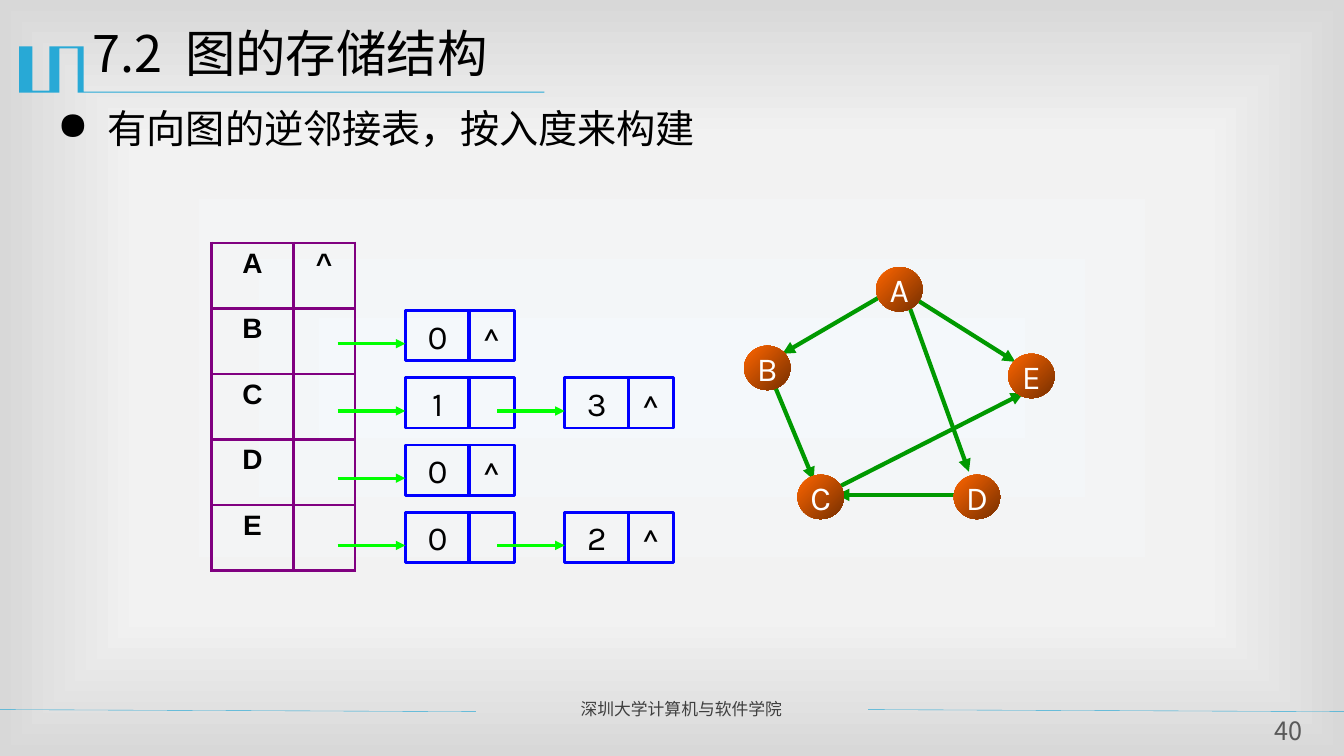
"""Build the slide on the inverse adjacency list of a directed graph."""
from copy import deepcopy
from typing import NamedTuple

from lxml import etree
from pptx import Presentation
from pptx.dml.color import RGBColor
from pptx.enum.shapes import MSO_CONNECTOR, MSO_SHAPE
from pptx.enum.text import MSO_ANCHOR, PP_ALIGN
from pptx.oxml.ns import qn
from pptx.util import Inches, Pt

STRAIGHT = MSO_CONNECTOR.STRAIGHT
RECTANGLE, OVAL = MSO_SHAPE.RECTANGLE, MSO_SHAPE.OVAL
LEFT, CENTER = PP_ALIGN.LEFT, PP_ALIGN.CENTER
MIDDLE = MSO_ANCHOR.MIDDLE

COLORS = {
    "accent": "28A9D6", "text": "000000", "footer": "3F3F3F", "number": "595959",
    "edge": "009900", "vertex_light": "FF6600", "vertex_dark": "762F00",
    "vertex_text": "FFFFFF", "table": "800080", "cell": "0000FF", "pointer": "00FF00",
    "back_center": "F4F8FB", "back_middle": "F2F2F2", "back_rim": "D8D8D8",
}
CJK, KARLA, ARIAL = "Noto Sans CJK SC", "Karla", "Arial"


class Style(NamedTuple):
    font: str
    size: float
    color: str
    bold: bool = False


class Vertex(NamedTuple):
    label: str
    left: float
    top: float


class Segment(NamedTuple):
    x1: float
    y1: float
    x2: float
    y2: float


TITLE = Style(CJK, 36, "text")
BODY = Style(CJK, 28, "text")
FOOTER = Style(CJK, 12, "footer")
NUMBER = Style(CJK, 18, "number")
HEADER = Style(ARIAL, 20, "text", True)
NODE = Style(KARLA, 24, "text")
VERTEX = Style(KARLA, 24, "vertex_text")

LOGO_OUTLINE = [
    (0.82, 0.46), (0.83, 0.46), (0.83, 0.91), (5.4, 0.91), (5.4, 0.92), (0.77, 0.92),
    (0.77, 0.48), (0.59, 0.48), (0.59, 0.92), (0.19, 0.92), (0.19, 0.46), (0.32, 0.46),
    (0.32, 0.9), (0.49, 0.9), (0.49, 0.46),
]
FOOTER_RULES = [Segment(-0.01, 7.04, 4.72, 7.06), Segment(8.61, 7.04, 13.33, 7.06)]
EDGES = [
    Segment(9.07, 2.96, 10.07, 3.59), Segment(7.68, 3.82, 8.07, 4.76),
    Segment(8.84, 2.88, 7.76, 3.51), Segment(8.99, 2.96, 9.61, 4.68),
    Segment(9.46, 4.91, 8.3, 4.91), Segment(8.3, 4.84, 10.15, 3.9),
]
VERTICES = [
    Vertex("B", 7.38, 3.43), Vertex("D", 9.46, 4.71), Vertex("C", 7.91, 4.71),
    Vertex("E", 10, 3.51), Vertex("A", 8.69, 2.65),
]
PREDECESSORS = {"A": [], "B": ["0"], "C": ["1", "3"], "D": ["0"], "E": ["0", "2"]}
END_MARK = "^"
CHAIN_LEFT, CHAIN_TOP, CHAIN_STEP, NODE_STEP = 4.02, 3.08, 0.667, 1.58


def rgb(name: str) -> RGBColor:
    return RGBColor.from_string(COLORS[name])


def add_run(paragraph, text: str, style: Style):
    run = paragraph.add_run()
    run.text = text
    run.font.name, run.font.size, run.font.bold = style.font, Pt(style.size), style.bold
    run.font.color.rgb = rgb(style.color)
    run.font._element.find(qn("a:latin")).addnext(
        run.font._element.makeelement(qn("a:ea"), {"typeface": style.font}))
    return run


def add_label(slide, left: float, top: float, width: float, height: float,
              align=LEFT, margin: bool = True):
    frame = slide.shapes.add_textbox(
        Inches(left), Inches(top), Inches(width), Inches(height)).text_frame
    frame.word_wrap = True
    if not margin:
        frame.margin_left = frame.margin_right = frame.margin_top = frame.margin_bottom = 0
    paragraph = frame.paragraphs[0]
    paragraph.alignment, paragraph.line_spacing = align, 0.9
    return paragraph


def add_segment(slide, segment: Segment, color: str, width: float, arrow: bool = True) -> None:
    line = slide.shapes.add_connector(STRAIGHT, *(Inches(value) for value in segment))
    line.line.color.rgb, line.line.width = rgb(color), Pt(width)
    if arrow:
        etree.SubElement(line.line._get_or_add_ln(), qn("a:tailEnd"), type="triangle")
    etree.SubElement(line._element.spPr, qn("a:effectLst"))


def add_box(slide, kind, left: float, top: float, width: float, height: float,
            text: str, style: Style):
    box = slide.shapes.add_shape(
        kind, Inches(left), Inches(top), Inches(width), Inches(height))
    box.shadow.inherit = False
    box.text_frame.vertical_anchor = MIDDLE
    if text:
        paragraph = box.text_frame.paragraphs[0]
        paragraph.alignment = CENTER
        add_run(paragraph, text, style)
    return box


def paint_background(slide) -> None:
    slide.background.fill.gradient()
    gradient = slide._element.find(".//" + qn("a:gradFill"))
    stop_list = gradient.find(qn("a:gsLst"))
    stop_list.append(deepcopy(stop_list[-1]))
    stops = slide.background.fill.gradient_stops
    for stop, place, color in zip(
            stops, (0, 0.63, 1), ("back_center", "back_middle", "back_rim")):
        stop.position, stop.color.rgb = place, rgb(color)
    gradient.remove(gradient.find(qn("a:lin")))
    focus = etree.Element(qn("a:path"), path="rect")
    etree.SubElement(focus, qn("a:fillToRect"), l="50000", t="50000", r="50000", b="50000")
    stop_list.addnext(focus)


def add_frame(slide) -> None:
    points = [(Inches(x), Inches(y)) for x, y in LOGO_OUTLINE]
    builder = slide.shapes.build_freeform(*points[0])
    builder.add_line_segments(points[1:], close=True)
    logo = builder.convert_to_shape()
    logo.shadow.inherit = False
    logo.fill.solid()
    logo.fill.fore_color.rgb = rgb("accent")
    logo.line.fill.background()
    for rule in FOOTER_RULES:
        add_segment(slide, rule, "accent", 0.25, arrow=False)
    add_run(add_label(slide, 5.66, 6.91, 2.85, 0.3), "深圳大学计算机与软件学院", FOOTER)
    add_run(add_label(slide, 12.48, 7.13, 0.59, 0.31, CENTER, False), "40", NUMBER)


def add_headings(slide) -> None:
    title = add_label(slide, 0.82, 0.24, 12, 0.87)
    add_run(title, "7.2", TITLE)
    gap = add_run(title, " ", TITLE)
    gap.font._element.set("spc", "800")
    add_run(title, "图的存储结构", TITLE)
    topic = add_label(slide, 0.47, 1.04, 12.13, 0.87)
    properties = topic._p.get_or_add_pPr()
    properties.set("marL", str(Inches(0.5)))
    properties.set("indent", str(Inches(-0.5)))
    etree.SubElement(properties, qn("a:buChar"), char="●")
    add_run(topic, "有向图的逆邻接表，按入度来构建", BODY)


def add_graph(slide) -> None:
    for edge in EDGES:
        add_segment(slide, edge, "edge", 3)
    for vertex in VERTICES:
        disc = add_box(slide, OVAL, vertex.left, vertex.top, 0.46, 0.44, vertex.label, VERTEX)
        disc.line.fill.background()
        disc.fill.gradient()
        disc.fill.gradient_angle = 315
        for stop, place, color in zip(
                disc.fill.gradient_stops, (0, 1), ("vertex_light", "vertex_dark")):
            stop.position, stop.color.rgb = place, rgb(color)
        frame = disc.text_frame
        frame.margin_left = frame.margin_right = 0
        frame.word_wrap = False


def add_border(cell) -> None:
    properties = cell._tc.get_or_add_tcPr()
    for index, side in enumerate(("lnL", "lnR", "lnT", "lnB")):
        line = etree.Element(qn("a:" + side), w=str(Pt(2.25)))
        fill = etree.SubElement(line, qn("a:solidFill"))
        etree.SubElement(fill, qn("a:srgbClr"), val=COLORS["table"])
        properties.insert(index, line)


def add_vertex_table(slide) -> None:
    table = slide.shapes.add_table(len(PREDECESSORS), 2, Inches(2.1), Inches(2.41),
                                   Inches(1.42), Inches(3.25)).table
    table.first_row = table.horz_banding = False
    for column, width in zip(table.columns, (0.81, 0.61)):
        column.width = Inches(width)
    for row, (label, chain) in enumerate(PREDECESSORS.items()):
        for column, text in enumerate((label, "" if chain else END_MARK)):
            cell = table.cell(row, column)
            cell.fill.background()
            add_border(cell)
            if text:
                paragraph = cell.text_frame.paragraphs[0]
                paragraph.alignment = CENTER
                add_run(paragraph, text, HEADER)


def add_chains(slide) -> None:
    chains = [chain for chain in PREDECESSORS.values() if chain]
    for row, chain in enumerate(chains):
        top = CHAIN_TOP + row * CHAIN_STEP
        for position, value in enumerate(chain):
            left = CHAIN_LEFT + position * NODE_STEP
            link = END_MARK if position == len(chain) - 1 else ""
            for offset, width, text in ((0, 0.64, value), (0.63, 0.45, link)):
                box = add_box(slide, RECTANGLE, left + offset, top, width, 0.5, text, NODE)
                box.fill.background()
                box.line.color.rgb, box.line.width = rgb("cell"), Pt(2)
            pointer = Segment(left - 0.67, top + 0.33, left, top + 0.33)
            add_segment(slide, pointer, "pointer", 2.25)


def main() -> None:
    deck = Presentation()
    deck.slide_width, deck.slide_height = Inches(13.33), Inches(7.5)
    slide = deck.slides.add_slide(deck.slide_layouts[6])
    paint_background(slide)
    for draw in (add_frame, add_headings, add_graph, add_vertex_table, add_chains):
        draw(slide)
    deck.save("out.pptx")


if __name__ == "__main__":
    main()
